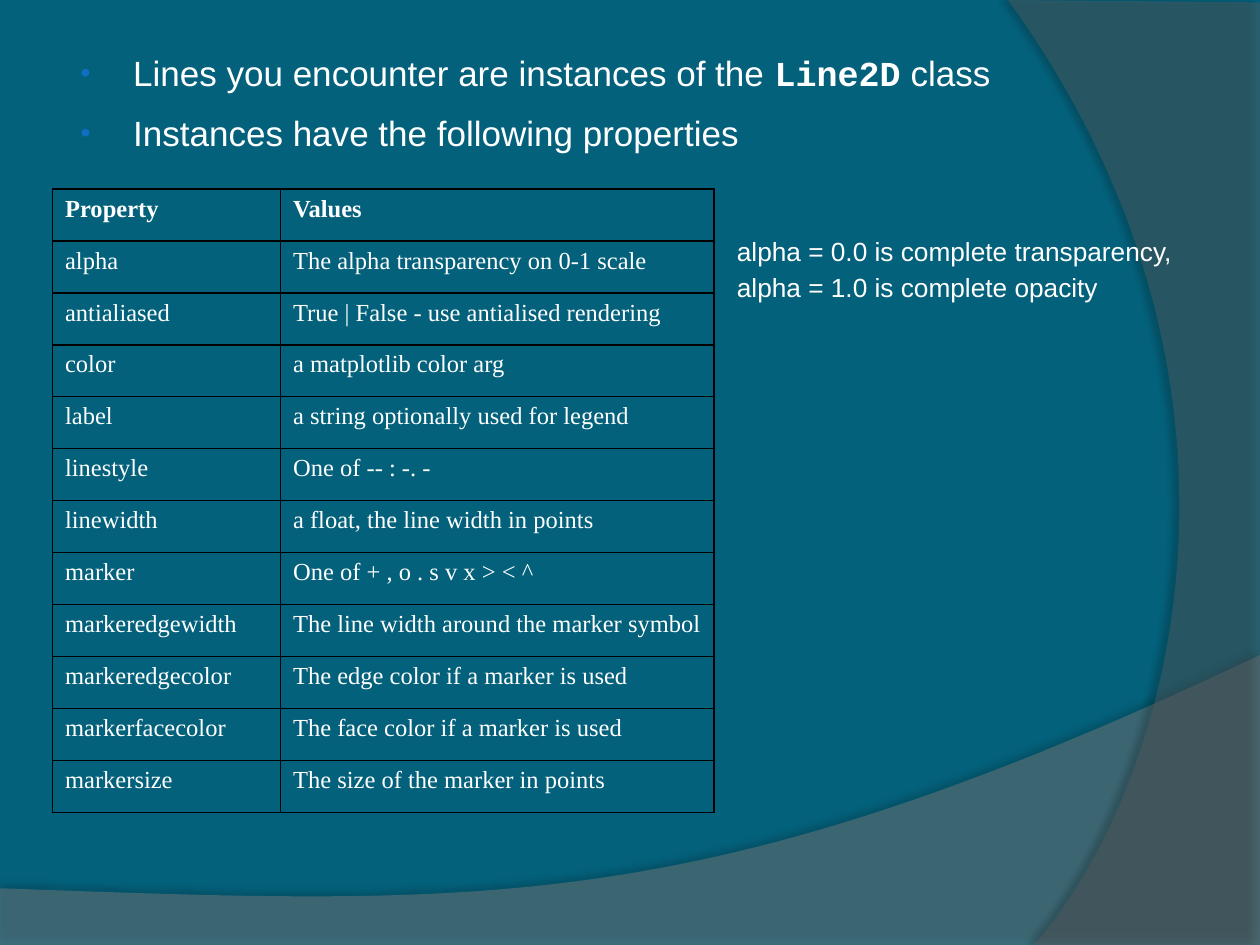
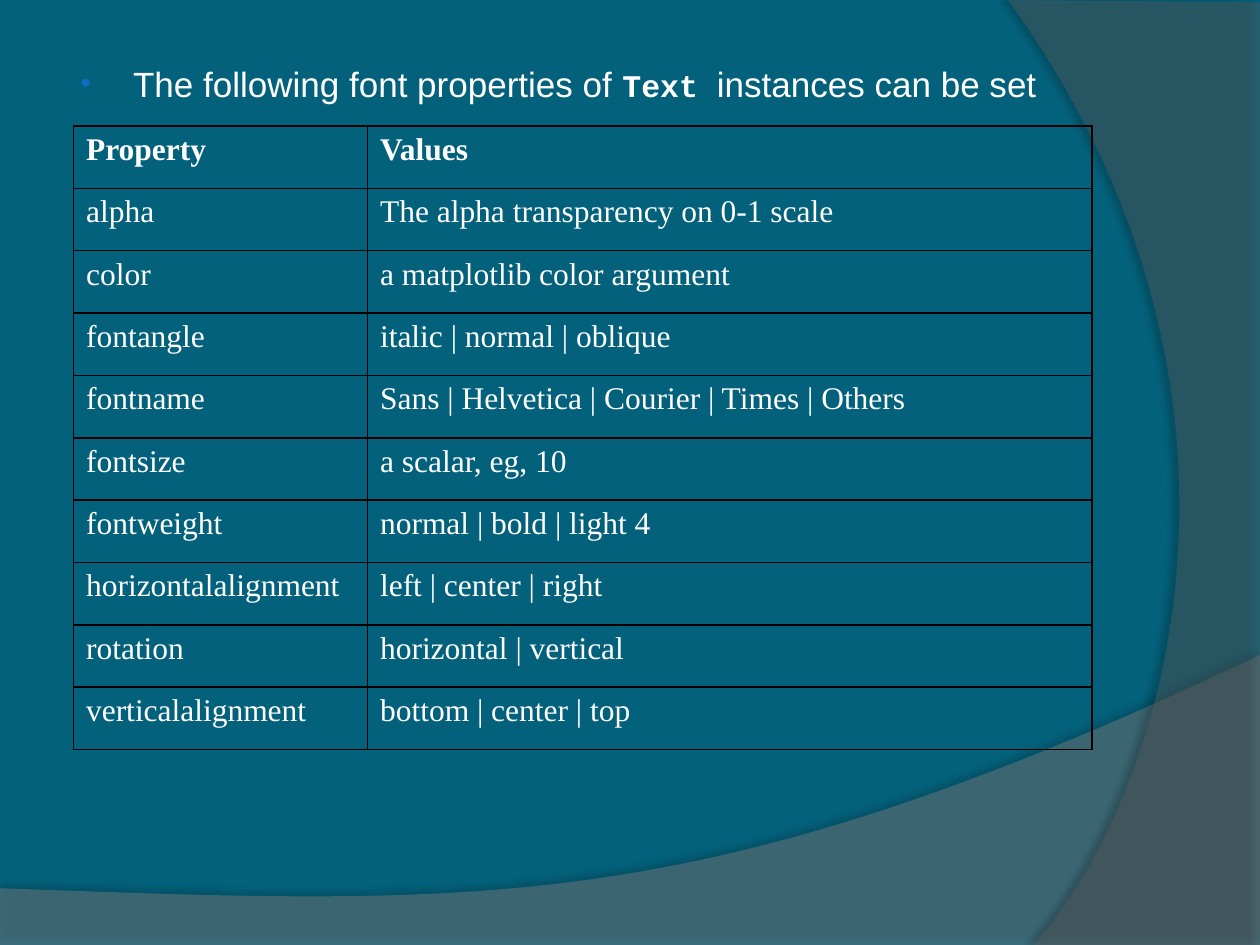
from lxml.etree import SubElement
from pptx import Presentation
from pptx.dml.color import RGBColor
from pptx.oxml.ns import qn
from pptx.util import Pt

BACKGROUND = RGBColor(0x04, 0x61, 0x7B)
WAVE_GREY = RGBColor(0x7F, 0x7F, 0x7F)
ARC_GREY = RGBColor(0x5E, 0x5E, 0x5E)
BULLET_BLUE = RGBColor(0x0F, 0x6F, 0xC6)
WHITE = RGBColor(0xFF, 0xFF, 0xFF)
BLACK = RGBColor(0x00, 0x00, 0x00)

BODY_FONT = "Arial"
CODE_FONT = "Courier New"
TABLE_FONT = "Times New Roman"
TABLE_HEIGHT = 356.4
CURVE_STEPS = 60

LINE_PROPERTIES = [
    ("Property", "Values"),
    ("alpha", "The alpha transparency on 0-1 scale"),
    ("antialiased", "True | False - use antialised rendering"),
    ("color", "a matplotlib color arg"),
    ("label", "a string optionally used for legend"),
    ("linestyle", "One of -- : -. -"),
    ("linewidth", "a float, the line width in points"),
    ("marker", "One of + , o . s v x > < ^"),
    ("markeredgewidth", "The line width around the marker symbol"),
    ("markeredgecolor", "The edge color if a marker is used"),
    ("markerfacecolor", "The face color if a marker is used"),
    ("markersize", "The size of the marker in points"),
]
TEXT_PROPERTIES = [
    ("Property", "Values"),
    ("alpha", "The alpha transparency on 0-1 scale"),
    ("color", "a matplotlib color argument"),
    ("fontangle", "italic | normal | oblique"),
    ("fontname", "Sans | Helvetica | Courier | Times | Others"),
    ("fontsize", "a scalar, eg, 10"),
    ("fontweight", "normal | bold | light 4"),
    ("horizontalalignment", "left | center | right"),
    ("rotation", "horizontal | vertical"),
    ("verticalalignment", "bottom | center | top"),
]


def add_element(parent, tag, **attributes):
    """Append a DrawingML child element with the given attributes."""
    values = {name: str(value) for name, value in attributes.items()}
    return SubElement(parent, qn(tag), values)


def add_color(parent, color, opacity=100):
    """Append an RGB colour with an opacity in percent."""
    element = add_element(parent, "a:srgbClr", val=color)
    if opacity < 100:
        add_element(element, "a:alpha", val=opacity * 1000)


def curve_points(start, control_one, control_two, end):
    """Return points along a cubic curve."""
    points = []
    for step in range(CURVE_STEPS + 1):
        t = step / CURVE_STEPS
        weights = ((1 - t) ** 3, 3 * t * (1 - t) ** 2, 3 * t * t * (1 - t), t ** 3)
        corners = (start, control_one, control_two, end)
        points.append(tuple(sum(weight * corner[axis] for weight, corner in zip(weights, corners))
                            for axis in (0, 1)))
    return points


def add_band(slide, points, color, opacity, shadow_opacity, distance, direction):
    """Draw a translucent background band with a soft shadow."""
    vertices = [(Pt(x), Pt(y)) for x, y in points]
    builder = slide.shapes.build_freeform(*vertices[0])
    builder.add_line_segments(vertices[1:], close=True)
    shape = builder.convert_to_shape()
    shape.fill.solid()
    shape.fill.fore_color.rgb = color
    properties = shape.element.spPr
    add_element(properties.find(".//" + qn("a:srgbClr")), "a:alpha", val=opacity * 1000)
    shape.line.fill.background()
    shape.shadow.inherit = False
    shadow = add_element(properties.find(qn("a:effectLst")), "a:outerShdw",
                         blurRad=Pt(4), dist=Pt(distance), dir=direction * 60000,
                         algn="ctr", rotWithShape=0)
    add_color(shadow, BLACK, shadow_opacity)


def add_background_bands(slide):
    """Draw the wave and the arc that every slide shares."""
    wave = [(0, 540), (720, 540)]
    wave += curve_points((720, 374.4), (402.5, 524.9), (281.5, 517.7), (0, 507.6))
    arc = [(720, 1.4), (720, 540)]
    arc += curve_points((591, 540), (673.2, 445.7), (733, 216), (576, 0))
    add_band(slide, wave, WAVE_GREY, 45, 35, 3.5, 270)
    add_band(slide, arc, ARC_GREY, 40, 45, 4, 180)


def format_font(font, name, size, bold=False):
    """Set a white font."""
    font.name = name
    font.size = Pt(size)
    font.bold = bold
    font.color.rgb = WHITE


def add_text_frame(slide, left, top, width, height):
    """Add a wrapping text box and return its text frame."""
    text_frame = slide.shapes.add_textbox(Pt(left), Pt(top), Pt(width), Pt(height)).text_frame
    text_frame.word_wrap = True
    return text_frame


def set_hanging_indent(paragraph, left, hanging):
    """Indent a paragraph with a hanging first line."""
    properties = paragraph._p.get_or_add_pPr()
    properties.set("marL", str(Pt(left)))
    properties.set("indent", str(-Pt(hanging)))
    return properties


def add_bullets(slide, top, width, height, bullets):
    """Add bullets, each a list of (text, font name, size) runs."""
    text_frame = add_text_frame(slide, 36, top, width, height)
    text_frame.margin_top = Pt(5.6)
    for index, runs in enumerate(bullets):
        paragraph = text_frame.add_paragraph() if index else text_frame.paragraphs[0]
        if index:
            paragraph.space_before = Pt(10.35)
        properties = set_hanging_indent(paragraph, 33, 30)
        add_color(add_element(properties, "a:buClr"), BULLET_BLUE)
        add_element(properties, "a:buSzPct", val=80000)
        add_element(properties, "a:buFont", typeface=BODY_FONT)
        add_element(properties, "a:buChar", char="•")
        for text, name, size in runs:
            run = paragraph.add_run()
            run.text = text
            format_font(run.font, name, size, bold=name == CODE_FONT)


def add_note(slide, text):
    """Add the remark beside the table."""
    text_frame = add_text_frame(slide, 414, 128, 270, 48)
    text_frame.text = text
    paragraph = text_frame.paragraphs[0]
    paragraph.line_spacing = 1.15
    format_font(paragraph.runs[0].font, BODY_FONT, 15)


def format_cell(cell, text, size, bold):
    """Fill in an unfilled cell with black borders."""
    cell.text_frame.text = text
    paragraph = cell.text_frame.paragraphs[0]
    set_hanging_indent(paragraph, 27, 27)
    format_font(paragraph.runs[0].font, TABLE_FONT, size, bold)
    properties = cell._tc.get_or_add_tcPr()
    for side in ("a:lnL", "a:lnR", "a:lnT", "a:lnB"):
        border = add_element(properties, side, w=Pt(1))
        add_color(add_element(border, "a:solidFill"), BLACK)
    cell.fill.background()


def add_property_table(slide, left, top, column_widths, rows, size):
    """Add a two-column table of property names and values."""
    frame = slide.shapes.add_table(len(rows), len(column_widths), Pt(left), Pt(top),
                                   Pt(sum(column_widths)), Pt(TABLE_HEIGHT))
    table = frame.table
    table.first_row = False
    table.horz_banding = False
    for column, width in zip(table.columns, column_widths):
        column.width = Pt(width)
    for row_index, texts in enumerate(rows):
        table.rows[row_index].height = Pt(TABLE_HEIGHT / len(rows))
        for column_index, text in enumerate(texts):
            format_cell(table.cell(row_index, column_index), text, size, row_index == 0)


def add_slide(presentation):
    """Add a blank slide with the shared bands."""
    slide = presentation.slides.add_slide(presentation.slide_layouts[6])
    add_background_bands(slide)
    return slide


def add_line_slide(presentation):
    """Build the slide about line properties."""
    slide = add_slide(presentation)
    add_bullets(slide, 24, 660, 75.6, [
        [("Lines you encounter are instances of the ", BODY_FONT, 20),
         ("Line2D", CODE_FONT, 20),
         (" class", BODY_FONT, 20)],
        [("Instances have the following properties", BODY_FONT, 20)],
    ])
    add_property_table(slide, 30, 108, (130.3, 247.7), LINE_PROPERTIES, 14)
    add_note(slide, "alpha = 0.0 is complete transparency, alpha = 1.0 is complete opacity")


def add_text_slide(presentation):
    """Build the slide about text properties."""
    slide = add_slide(presentation)
    add_bullets(slide, 30, 642, 30, [
        [("The following font properties of ", BODY_FONT, 20),
         ("Text ", CODE_FONT, 18),
         ("instances can be set", BODY_FONT, 20)],
    ])
    add_property_table(slide, 42, 72, (168, 414), TEXT_PROPERTIES, 18)


def main():
    """Build and save the presentation."""
    presentation = Presentation()
    presentation.slide_width = Pt(720)
    presentation.slide_height = Pt(540)
    background = presentation.slide_master.background.fill
    background.solid()
    background.fore_color.rgb = BACKGROUND
    add_line_slide(presentation)
    add_text_slide(presentation)
    presentation.save("out.pptx")


if __name__ == "__main__":
    main()
